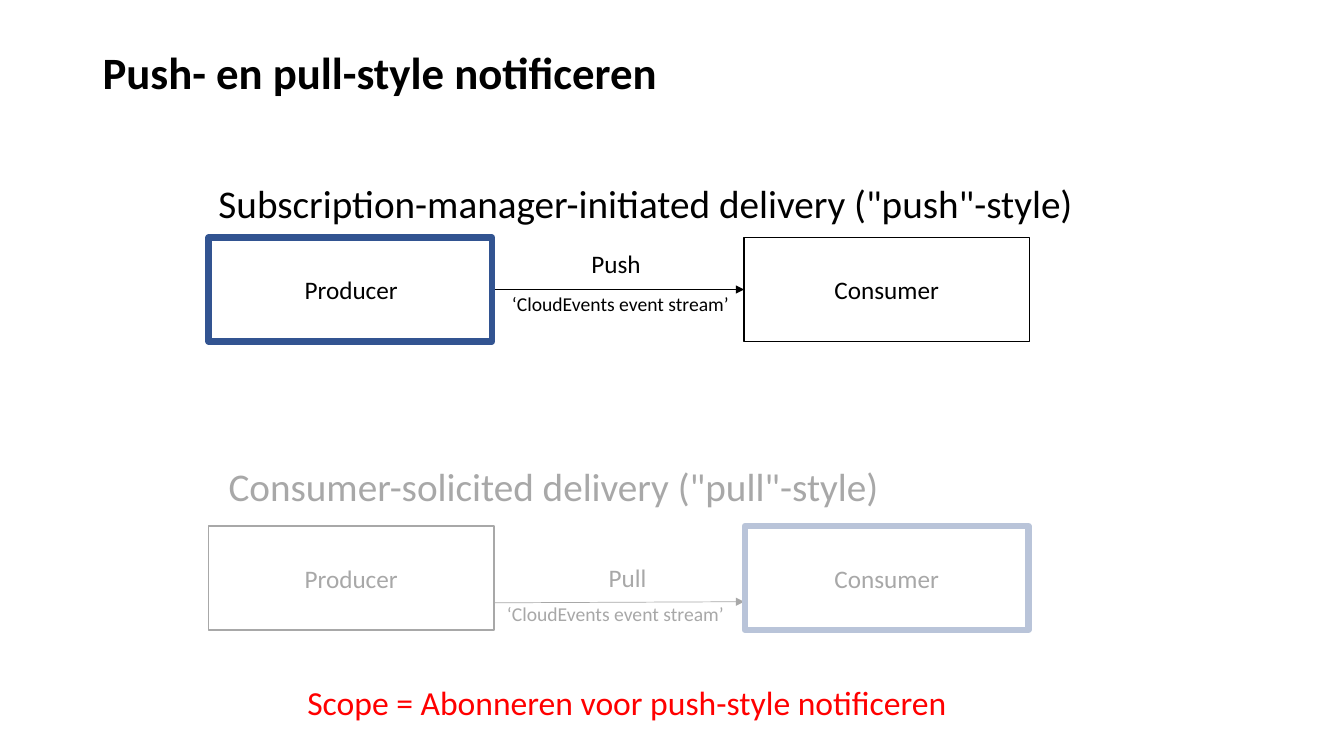
from dataclasses import dataclass
from typing import Optional

from lxml import etree
from pptx import Presentation
from pptx.dml.color import RGBColor
from pptx.enum.shapes import MSO_CONNECTOR, MSO_SHAPE
from pptx.enum.text import MSO_ANCHOR, PP_ALIGN
from pptx.oxml.ns import qn
from pptx.util import Pt

RECT = MSO_SHAPE.RECTANGLE
STRAIGHT = MSO_CONNECTOR.STRAIGHT
TOP, MIDDLE = MSO_ANCHOR.TOP, MSO_ANCHOR.MIDDLE
CENTER = PP_ALIGN.CENTER
RIGHT_SIDE, LEFT_SIDE = 3, 1

FONT = "Calibri"
BLACK, WHITE, BLUE, RED = "000000", "FFFFFF", "325491", "FF0000"
PRODUCER_X, CONSUMER_X = 149, 531.5
BOX_W, BOX_H = 203.8, 74.2


@dataclass
class Label:
    text: str
    x: float
    y: float
    w: float
    h: float
    size: float
    color: str = BLACK
    bold: bool = False
    wrap: bool = True
    anchor: MSO_ANCHOR = TOP
    line_spacing: Optional[float] = None
    space_before: float = 0


@dataclass
class Delivery:
    heading: Label
    action: Label
    stream: Label
    box_y: float
    arrow_y: Optional[tuple[float, float]] = None  # None: joined at box middles


def rgb(color: str) -> RGBColor:
    return RGBColor.from_string(color)


def add_label(s, label: Label) -> None:
    tf = s.shapes.add_textbox(Pt(label.x), Pt(label.y), Pt(label.w), Pt(label.h)).text_frame
    tf.word_wrap = label.wrap
    tf.vertical_anchor = label.anchor
    p = tf.paragraphs[0]
    p.text = label.text
    p.line_spacing = label.line_spacing
    p.space_before = Pt(label.space_before)
    set_font(p, label.size, label.color, label.bold)


def set_font(p, size: float, color: str, bold: bool = False) -> None:
    p.font.name, p.font.size, p.font.bold = FONT, Pt(size), bold
    p.font.color.rgb = rgb(color)


def add_rect(s, x: float, y: float, w: float, h: float, fill: Optional[str] = None,
             line: Optional[str] = None, line_w: float = 1, text: str = ""):
    sp = s.shapes.add_shape(RECT, Pt(x), Pt(y), Pt(w), Pt(h))
    sp.shadow.inherit = False
    if fill:
        sp.fill.solid()
        sp.fill.fore_color.rgb = rgb(fill)
    else:
        sp.fill.background()
    if line:
        sp.line.color.rgb = rgb(line)
        sp.line.width = Pt(line_w)
    else:
        sp.line.fill.background()
    if text:
        sp.text_frame.vertical_anchor = MIDDLE
        p = sp.text_frame.paragraphs[0]
        p.text = text
        p.alignment = CENTER
        set_font(p, 18, BLACK)
    return sp


def add_delivery(s, d: Delivery) -> None:
    producer, consumer = (
        add_rect(s, x, d.box_y, BOX_W, BOX_H, WHITE, BLACK, text=name)
        for name, x in (("Producer", PRODUCER_X), ("Consumer", CONSUMER_X)))

    # Arrow from producer to consumer
    y1, y2 = d.arrow_y or (d.box_y + BOX_H / 2,) * 2
    arrow = s.shapes.add_connector(
        STRAIGHT, Pt(PRODUCER_X + BOX_W), Pt(y1), Pt(CONSUMER_X), Pt(y2))
    if d.arrow_y is None:
        arrow.begin_connect(producer, RIGHT_SIDE)
        arrow.end_connect(consumer, LEFT_SIDE)
    arrow.line.color.rgb = rgb(BLACK)
    arrow.line.width = Pt(0.5)
    etree.SubElement(arrow.line._get_or_add_ln(), qn("a:tailEnd"), type="triangle")
    etree.SubElement(arrow._element.spPr, qn("a:effectLst"))

    for label in (d.action, d.stream, d.heading):
        add_label(s, label)


def heading(text: str, x: float, y: float, w: float) -> Label:
    return Label(text, x, y, w, 36.7, 28, line_spacing=0.8, space_before=10)


def stream(x: float, y: float) -> Label:
    return Label("‘CloudEvents event stream’", x, y, 174.2, 24.5, 14, wrap=False)


TITLE = Label("Push- en pull-style notificeren", 66.2, 28.8, 828, 49.7, 32,
              bold=True, anchor=MIDDLE, line_spacing=0.9)
SCOPE = Label("Scope = Abonneren voor push-style notificeren",
              212.4, 483.8, 488.9, 36, 24, RED)
DELIVERIES = [
    Delivery(heading('Subscription-manager-initiated delivery ("push"-style)', 149, 131, 698.4),
             Label("Push", 415.4, 173.5, 54.7, 28.8, 18, wrap=False),
             stream(358.6, 205.2), 169.7),
    Delivery(heading('Consumer-solicited delivery ("pull"-style)', 156.2, 333.4, 642.2),
             Label("Pull", 427.7, 398.2, 46.1, 28.8, 18, wrap=False),
             stream(355, 426.2), 375.8, (430.6, 429.8)),
]


def main() -> None:
    prs = Presentation()
    prs.slide_width, prs.slide_height = Pt(960), Pt(540)
    s = prs.slides.add_slide(prs.slide_layouts[6])

    add_label(s, TITLE)
    for d in DELIVERIES:
        add_delivery(s, d)

    # Thick frames around the initiating party
    for x, d in zip((PRODUCER_X, CONSUMER_X + 0.6), DELIVERIES):
        add_rect(s, x, d.box_y, 202.5, BOX_H, line=BLUE, line_w=4.5)

    # Translucent veil that fades the pull style
    veil = add_rect(s, 99.4, 302.4, 740.9, 184.3, WHITE)
    color = veil._element.spPr.find(qn("a:solidFill"))[0]
    etree.SubElement(color, qn("a:alpha"), val="66000")

    add_label(s, SCOPE)
    prs.save("out.pptx")


if __name__ == "__main__":
    main()
